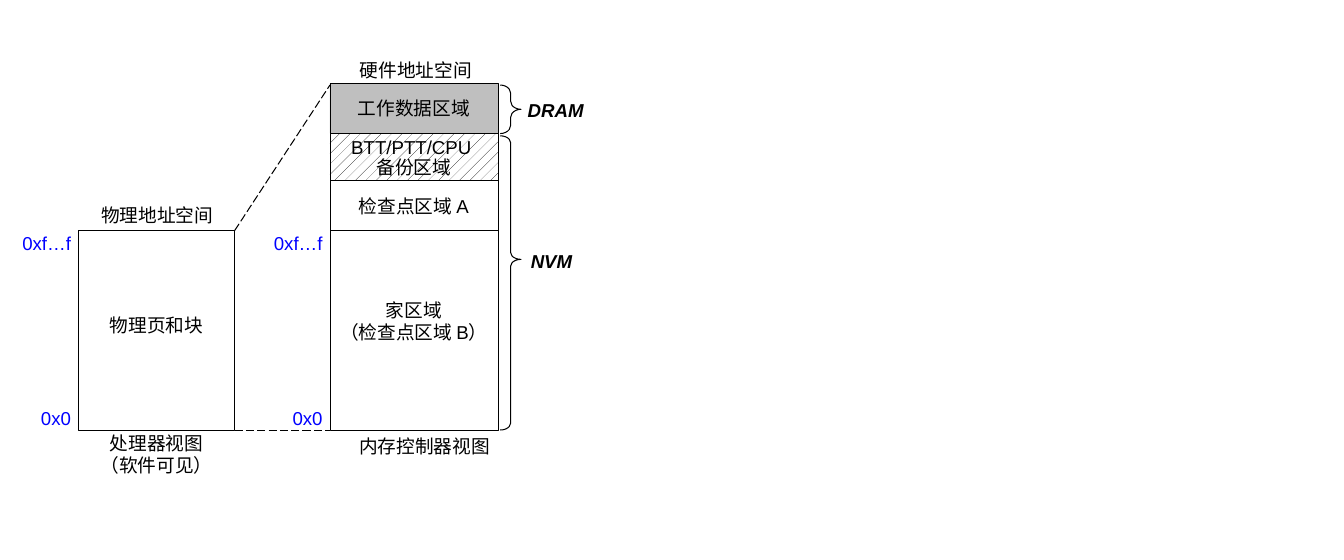
from pptx import Presentation
from pptx.dml.color import RGBColor
from pptx.enum.dml import MSO_LINE, MSO_PATTERN
from pptx.enum.shapes import MSO_CONNECTOR, MSO_SHAPE
from pptx.enum.text import MSO_ANCHOR, MSO_AUTO_SIZE, PP_ALIGN
from pptx.oxml.ns import qn
from pptx.util import Pt
from lxml.etree import SubElement

COLORS = {"ink": "000000", "paper": "FFFFFF", "dram": "BFBFBF", "address": "0000FF"}
CENTER, LEFT, RIGHT = PP_ALIGN.CENTER, PP_ALIGN.LEFT, PP_ALIGN.RIGHT


def rgb(name):
    """Return the named colour."""
    return RGBColor.from_string(COLORS[name])


class Diagram:
    """Draws the elements of the memory diagram on one slide."""

    font, size = "Arial", 18

    def __init__(self, slide):
        """Keep the slide to draw on."""
        self.shapes = slide.shapes

    def set_text(self, tf, text, align, color="ink", strong=False, spacing=None):
        """Set the text; spacing maps paragraph numbers to line heights."""
        tf.word_wrap = True
        tf.text = text
        for i, p in enumerate(tf.paragraphs):
            p.alignment = align
            if spacing and i in spacing:
                p.line_spacing = Pt(spacing[i])
            for r in p.runs:
                r.font.name, r.font.size = self.font, Pt(self.size)
                r.font.color.rgb = rgb(color)
                if strong:
                    r.font.bold = r.font.italic = True

    def label(self, x, y, w, text, align=CENTER, h=29, **style):
        """Add a text box."""
        sp = self.shapes.add_textbox(Pt(x), Pt(y), Pt(w), Pt(h))
        self.set_text(sp.text_frame, text, align, **style)
        sp.text_frame.auto_size = MSO_AUTO_SIZE.SHAPE_TO_FIT_TEXT

    def outline(self, kind, x, y, w, h, weight):
        """Add an unfilled preset shape with a thin line."""
        sp = self.shapes.add_shape(kind, Pt(x), Pt(y), Pt(w), Pt(h))
        sp.shadow.inherit = False
        sp.fill.background()
        sp.line.color.rgb = rgb("ink")
        sp.line.width = Pt(weight)
        return sp

    def region(self, x, y, w, h, text="", fill=None, hatched=False, spacing=None):
        """Add a memory region."""
        sp = self.outline(MSO_SHAPE.RECTANGLE, x, y, w, h, 0.75)
        if fill:
            sp.fill.solid()
            sp.fill.fore_color.rgb = rgb(fill)
        if hatched:
            sp.fill.patterned()
            sp.fill.pattern = MSO_PATTERN.PERCENT_5
            sp.fill.fore_color.rgb = rgb("ink")
            sp.fill.back_color.rgb = rgb("paper")
        if text:
            sp.text_frame.vertical_anchor = MSO_ANCHOR.MIDDLE
            self.set_text(sp.text_frame, text, CENTER, spacing=spacing)

    def brace(self, y, h, curve, tip):
        """Add a brace to the right of the hardware column."""
        sp = self.outline(MSO_SHAPE.RIGHT_BRACE, 482.4, y, 20, h, 1)
        sp.adjustments[0], sp.adjustments[1] = curve, tip

    def dashed(self, x1, y1, x2, y2):
        """Add a dashed guide line."""
        line = self.shapes.add_connector(MSO_CONNECTOR.STRAIGHT, Pt(x1), Pt(y1), Pt(x2), Pt(y2))
        line.line.color.rgb = rgb("ink")
        line.line.width = Pt(1)
        line.line.dash_style = MSO_LINE.LONG_DASH
        SubElement(line._element.spPr, qn("a:effectLst"))


prs = Presentation()
prs.slide_width, prs.slide_height = Pt(1296), Pt(540)
d = Diagram(prs.slides.add_slide(prs.slide_layouts[6]))

cpu_x, cpu_w = 75.6, 150.6
mem_x, mem_w = 318.2, 162
top, home_top, bottom = 80.4, 222.5, 415.2

# Processor view
d.region(cpu_x, home_top, cpu_w, bottom - home_top)
d.label(63.4, 193, 180.6, "物理地址空间 ")
d.label(cpu_x, 299.5, cpu_w, "物理页和块")
d.label(cpu_x, 417.6, cpu_w, "处理器视图\n（软件可见）", h=46, spacing={0: 16.6})

# Memory controller view
d.label(291.6, 53.3, 222.5, "硬件地址空间 ")
regions = [
    (48, {"text": "工作数据区域", "fill": "dram"}),
    (46, {"text": "BTT/PTT/CPU \n备份区域", "hatched": True, "spacing": {1: 19.6}}),
    (48.1, {"text": "检查点区域 A"}),
    (bottom - home_top, {}),
]
y = top
for height, style in regions:
    d.region(mem_x, y, mem_w, height, **style)
    y += height
d.label(mem_x, 284.4, mem_w, "家区域\v（检查点区域 B）", h=51)
d.label(298.1, 415.4, 222.5, "内存控制器视图")

# Address marks beside both columns
for column_x in (cpu_x, mem_x):
    for mark_y, mark in ((219.6, "0xf…f"), (388.8, "0x0")):
        d.label(column_x - 72, mark_y, 72, mark, RIGHT, color="address")

# Memory kinds
d.brace(82, 46.8, 0.39, 0.5)
d.label(501.8, 91.4, 75.6, "DRAM", LEFT, strong=True)
d.brace(131, 283.7, 0.33, 0.42)
d.label(504.7, 236.9, 59, "NVM", LEFT, strong=True)

# Guides between the two views
d.dashed(cpu_x + cpu_w, home_top, mem_x, 82)
d.dashed(cpu_x + cpu_w, bottom, mem_x, bottom)

prs.save("out.pptx")
